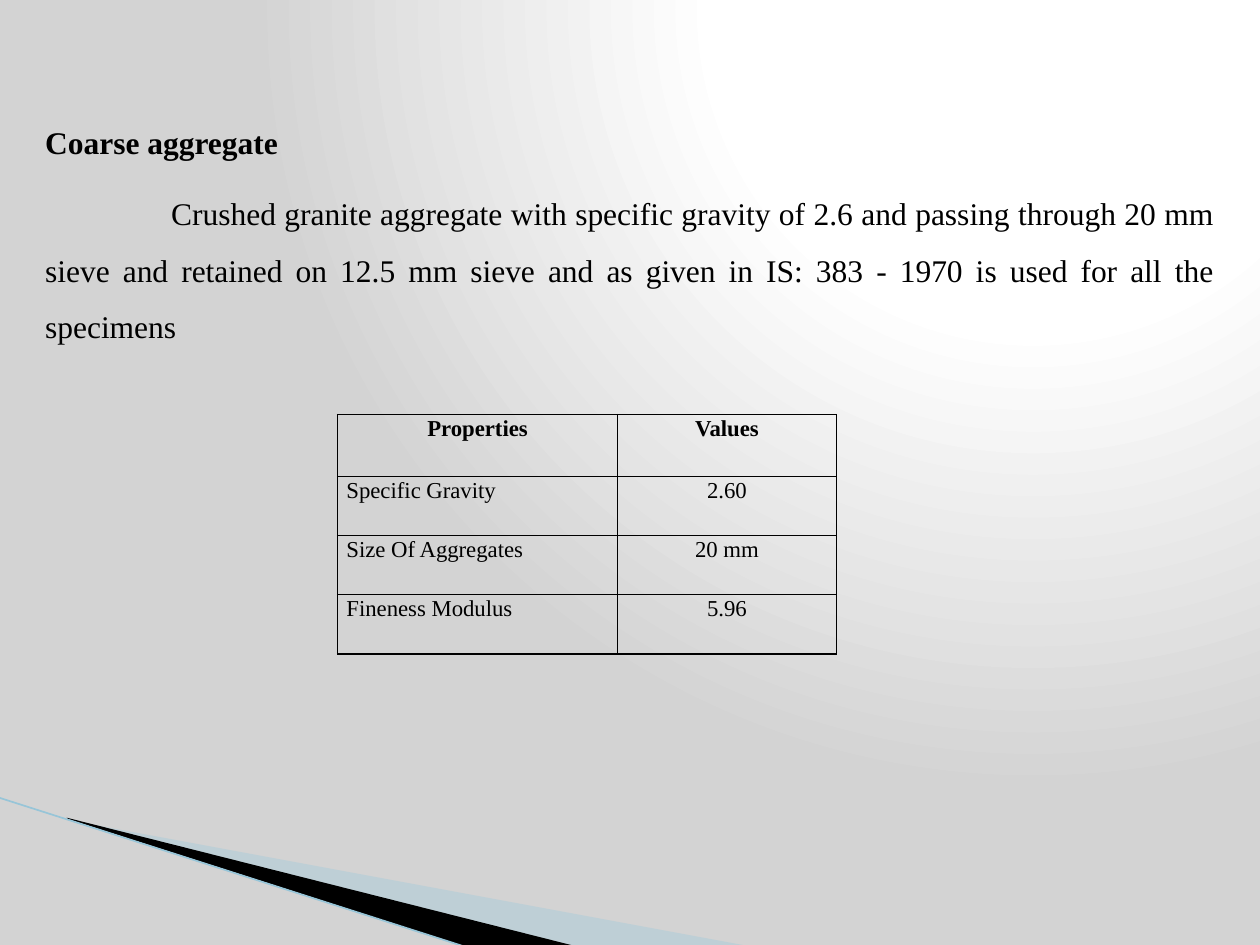
from dataclasses import dataclass

from pptx import Presentation
from pptx.dml.color import RGBColor
from pptx.enum.text import MSO_AUTO_SIZE as AutoSize, PP_ALIGN as Align
from pptx.oxml import parse_xml
from pptx.oxml.ns import nsdecls, qn
from pptx.oxml.xmlchemy import OxmlElement
from pptx.util import Inches, Pt


@dataclass(frozen=True)
class Theme:
    """Colours and type sizes of the slide."""
    font: str = "Times New Roman"
    body_size: int = 18
    table_size: int = 13
    ink: str = "000000"
    wedge: str = "A0CBDC"
    edge: str = "97C5D8"
    glow: str = "FFFFFF"
    shade: str = "D3D3D3"


THEME = Theme()
WEDGES = [
    (THEME.wedge, 40, [(0.55, 6.51), (5.95, 7.51), (4.56, 7.51), (0.55, 6.5)]),
    (THEME.ink, 100, [(0.53, 6.49), (4.57, 7.51), (3.72, 7.52), (0.54, 6.5)]),
]
HEADING = "Coarse aggregate"
DESCRIPTION = (
    "Crushed granite aggregate with specific gravity of 2.6 and passing through 20 mm "
    "sieve and retained on 12.5 mm sieve and as given in IS: 383 - 1970 is used for "
    "all the specimens"
)
PROPERTIES = [
    ("Properties", "Values"),
    ("Specific Gravity", "2.60"),
    ("Size Of Aggregates", "20 mm"),
    ("Fineness Modulus", "5.96"),
]


def set_background(slide):
    """Fill the background with a circular glow from the upper right."""
    slide.background.fill.solid()
    stops = [(0, THEME.glow), (40, THEME.glow), (100, THEME.shade)]
    stop_xml = "".join(
        f'<a:gs pos="{position * 1000}"><a:srgbClr val="{color}"/></a:gs>'
        for position, color in stops
    )
    gradient = parse_xml(
        f'<a:gradFill {nsdecls("a")} rotWithShape="1"><a:gsLst>{stop_xml}</a:gsLst>'
        '<a:path path="circle"><a:fillToRect l="65000" t="0" r="0" b="98000"/></a:path>'
        "</a:gradFill>"
    )
    properties = slide.element.find(".//" + qn("p:bgPr"))
    properties.replace(properties.find(qn("a:solidFill")), gradient)


def add_wedge(slide, color, opacity, points):
    """Add a filled polygon through points given in inches."""
    corners = [(Inches(x), Inches(y)) for x, y in points]
    builder = slide.shapes.build_freeform(*corners[0])
    builder.add_line_segments(corners[1:], close=True)
    shape = builder.convert_to_shape()
    shape.shadow.inherit = False
    shape.line.fill.background()
    shape.fill.solid()
    shape.fill.fore_color.rgb = RGBColor.from_string(color)
    if opacity < 100:
        alpha = OxmlElement("a:alpha")
        alpha.set("val", str(opacity * 1000))
        shape.element.spPr.find(".//" + qn("a:srgbClr")).append(alpha)


def add_edge(slide, start, end):
    """Add the thin line along the wedges."""
    line = slide.shapes.add_connector(1, *map(Inches, start + end))
    line.line.color.rgb = RGBColor.from_string(THEME.edge)
    line.line.width = Pt(0.95)
    line.element.spPr.append(OxmlElement("a:effectLst"))


def format_paragraph(paragraph, text, size, bold, align, spacing, before, after):
    """Set the text, font and spacing of a paragraph."""
    paragraph.text = text
    paragraph.alignment = align
    paragraph.line_spacing = spacing
    paragraph.space_before = Pt(before)
    paragraph.space_after = Pt(after)
    paragraph.font.name = THEME.font
    paragraph.font.size = Pt(size)
    paragraph.font.bold = bold
    paragraph.font.color.rgb = RGBColor.from_string(THEME.ink)


def add_description(slide):
    """Add the heading and its indented, justified paragraph."""
    box = slide.shapes.add_textbox(Inches(0.26), Inches(0.78), Inches(9.48), Inches(1.99))
    frame = box.text_frame
    frame.word_wrap = True
    frame.auto_size = AutoSize.SHAPE_TO_FIT_TEXT
    heading, description = frame.paragraphs[0], frame.add_paragraph()
    for paragraph, text, bold in ((heading, HEADING, True), (description, DESCRIPTION, False)):
        format_paragraph(paragraph, text, THEME.body_size, bold, Align.JUSTIFY, 1.5, 0, 8)
    description._p.get_or_add_pPr().set("indent", str(Inches(1)))


def set_borders(cell):
    """Draw one-point lines on all sides of a cell."""
    properties = cell._tc.get_or_add_tcPr()
    for index, side in enumerate(("lnL", "lnR", "lnT", "lnB")):
        properties.insert(index, parse_xml(
            f'<a:{side} {nsdecls("a")} w="{Pt(1)}"><a:solidFill>'
            f'<a:srgbClr val="{THEME.ink}"/></a:solidFill></a:{side}>'
        ))


def add_properties_table(slide):
    """Add the table of aggregate properties."""
    table = slide.shapes.add_table(
        len(PROPERTIES), 2, Inches(2.68), Inches(3.29), Inches(3.96), Inches(1.9)
    ).table
    table.first_row = table.horz_banding = False
    for column, width in zip(table.columns, (2.22, 1.74)):
        column.width = Inches(width)
    for row_index, values in enumerate(PROPERTIES):
        is_header = row_index == 0
        table.rows[row_index].height = Inches(0.49 if is_header else 0.47)
        for column_index, text in enumerate(values):
            cell = table.cell(row_index, column_index)
            cell.fill.background()
            cell.margin_left = cell.margin_right = Inches(0.07)
            cell.margin_top = cell.margin_bottom = 0
            align = Align.CENTER if is_header or column_index else Align.JUSTIFY
            format_paragraph(cell.text_frame.paragraphs[0], text, THEME.table_size,
                             is_header, align, 1.07, 6, 6)
            set_borders(cell)


def main():
    """Build and save the slide."""
    presentation = Presentation()
    presentation.slide_width, presentation.slide_height = Inches(10), Inches(7.5)
    slide = presentation.slides.add_slide(presentation.slide_layouts[6])
    set_background(slide)
    for color, opacity, points in WEDGES:
        add_wedge(slide, color, opacity, points)
    add_edge(slide, (-0.01, 6.33), (3.71, 7.52))
    add_description(slide)
    add_properties_table(slide)
    presentation.save("out.pptx")


main()
